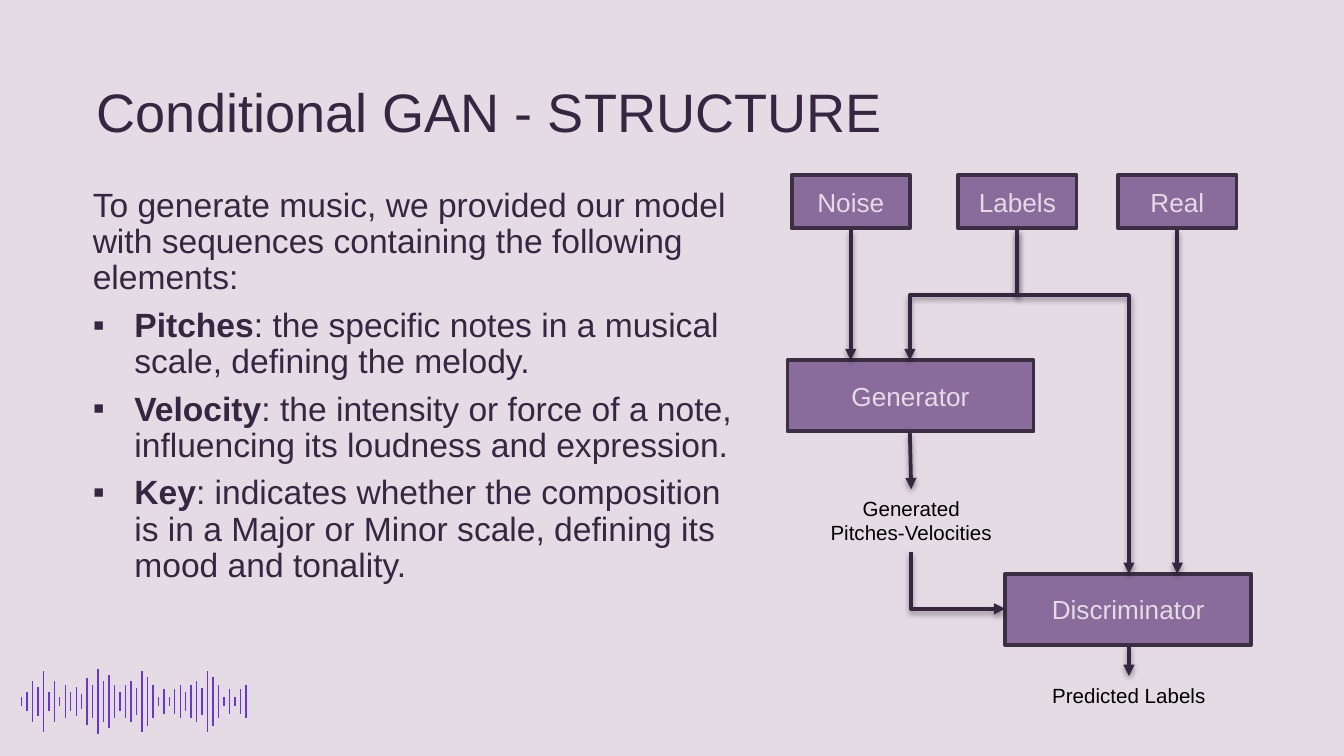
from dataclasses import dataclass

from lxml.etree import SubElement
from pptx import Presentation
from pptx.dml.color import RGBColor
from pptx.enum.shapes import MSO_CONNECTOR, MSO_SHAPE
from pptx.enum.text import MSO_ANCHOR, MSO_AUTO_SIZE, PP_ALIGN
from pptx.oxml.ns import qn
from pptx.util import Inches, Pt


@dataclass(frozen=True)
class Theme:
    font: str = "Arial"
    background: RGBColor = RGBColor.from_string("E4DBE5")
    ink: RGBColor = RGBColor.from_string("362641")
    box: RGBColor = RGBColor.from_string("896C9B")
    border: RGBColor = RGBColor.from_string("3C2F44")
    caption: RGBColor = RGBColor.from_string("000000")
    wave: RGBColor = RGBColor.from_string("6B35D2")
    title_size: Pt = Pt(29)
    body_size: Pt = Pt(18)
    box_size: Pt = Pt(14)
    caption_size: Pt = Pt(11)


theme = Theme()


def format_text(frame, size, color, align):
    for paragraph in frame.paragraphs:
        paragraph.alignment = align
        for run in paragraph.runs:
            run.font.name = theme.font
            run.font.size = size
            run.font.color.rgb = color


def add_arrow(start, end, bend=None, adjust=None):
    """Draw a shadowed arrow; a bent one leaves its start downwards."""
    (x1, y1), (x2, y2) = start, end
    if bend:
        # Preset elbows start sideways: swap the box sides and turn it.
        width, height = abs(y2 - y1), abs(x2 - x1)
        left, top = (x1 + x2 - width) / 2, (y1 + y2 - height) / 2
        corners = left, top, left + width, top + height
    else:
        corners = x1, y1, x2, y2
    arrow = slide.shapes.add_connector(
        MSO_CONNECTOR.ELBOW if bend else MSO_CONNECTOR.STRAIGHT,
        *[Inches(value) for value in corners])
    properties = arrow._element.spPr
    if bend:
        turn = properties.find(qn("a:xfrm"))
        turn.set("rot", str((90 if x2 < x1 else 270) * 60000))
        if x2 > x1:
            turn.set("flipH", "1")
        geometry = properties.find(qn("a:prstGeom"))
        geometry.set("prst", bend)
        if adjust is not None:
            SubElement(geometry.find(qn("a:avLst")), qn("a:gd"),
                       name="adj1", fmla=f"val {round(adjust * 100000)}")
    arrow.line.color.rgb = theme.ink
    arrow.line.width = Pt(2)
    SubElement(properties.find(qn("a:ln")), qn("a:tailEnd"), type="triangle")
    effects = SubElement(properties, qn("a:effectLst"))
    shadow = SubElement(effects, qn("a:outerShdw"), blurRad=str(Pt(3.1)),
                        dist=str(Pt(1.6)), dir="5400000", rotWithShape="0")
    shade = SubElement(shadow, qn("a:srgbClr"), val="000000")
    SubElement(shade, qn("a:alpha"), val="38000")


presentation = Presentation()
presentation.slide_width = Inches(10)
presentation.slide_height = Inches(10 * 9 / 16)
slide = presentation.slides.add_slide(presentation.slide_layouts[0])
slide.background.fill.solid()
slide.background.fill.fore_color.rgb = theme.background

# Sound wave
wave_heights = [
    0.07, 0.14, 0.3, 0.21, 0.45, 0.14, 0.3, 0.07, 0.25, 0.14, 0.21, 0.11, 0.35, 0.25,
    0.48, 0.3, 0.4, 0.25, 0.14, 0.25, 0.3, 0.2, 0.45, 0.37, 0.25, 0.07, 0.18, 0.07,
    0.18, 0.25, 0.14, 0.25, 0.3, 0.2, 0.45, 0.37, 0.25, 0.07, 0.18, 0.07, 0.18, 0.25]
wave_left, wave_right, wave_middle = 0.16, 1.83, 5.22
wave_step = (wave_right - wave_left) / (len(wave_heights) - 1)
wave = slide.shapes.add_group_shape()
for index, height in enumerate(wave_heights):
    x = Inches(wave_left + index * wave_step)
    bar = wave.shapes.add_connector(
        MSO_CONNECTOR.STRAIGHT, x, Inches(wave_middle - height / 2),
        x, Inches(wave_middle + height / 2))
    bar.line.color.rgb = theme.wave
    bar.line.width = Pt(0.75)
    SubElement(bar._element.spPr, qn("a:effectLst"))

# Title and explanation
title, explanation = slide.shapes.title, slide.placeholders[1]
title.text_frame.text = "Conditional GAN - STRUCTURE"
intro = "To generate music, we provided our model with sequences containing the following elements:"
elements = [
    ("Pitches", ": the specific notes in a musical scale, defining the melody."),
    ("Velocity", ": the intensity or force of a note, influencing its loudness and expression."),
    ("Key", ": indicates whether the composition is in a Major or Minor scale, "
            "defining its mood and tonality."),
]
explanation.text_frame.text = intro
for term, meaning in elements:
    paragraph = explanation.text_frame.add_paragraph()
    paragraph.text = term
    paragraph.runs[0].font.bold = True
    paragraph.add_run().text = meaning
    paragraph.runs[1].font.bold = False

for index, paragraph in enumerate(explanation.text_frame.paragraphs):
    paragraph.line_spacing = 0.9
    paragraph.space_before = Pt(0)
    paragraph.space_after = Pt(6)
    layout = paragraph._p.get_or_add_pPr()
    layout.set("marL", str(Inches(0.56 if index else 0.25)))
    layout.set("indent", str(Inches(-0.31 if index else 0)))
    if index:
        bullet_color = SubElement(layout, qn("a:buClr"))
        SubElement(bullet_color, qn("a:srgbClr"), val=str(theme.ink))
        SubElement(layout, qn("a:buFont"), typeface=theme.font)
        SubElement(layout, qn("a:buChar"), char="▪")

for holder, place, size, anchor in [
    (title, (0.62, 0.45, 9.26, 0.72), theme.title_size, MSO_ANCHOR.BOTTOM),
    (explanation, (0.34, 1.3, 5.35, 3.63), theme.body_size, MSO_ANCHOR.TOP),
]:
    holder.left, holder.top, holder.width, holder.height = [Inches(v) for v in place]
    frame = holder.text_frame
    frame.auto_size = MSO_AUTO_SIZE.NONE
    frame.word_wrap = True
    frame.vertical_anchor = anchor
    frame.margin_left = frame.margin_right = Inches(0.1)
    frame.margin_top = frame.margin_bottom = Inches(0.1)
    format_text(frame, size, theme.ink, PP_ALIGN.LEFT)

# Network blocks
input_size, network_size = (0.88, 0.4), (1.83, 0.53)
for label, left, top, (width, height) in [
    ("Noise", 5.89, 1.3, input_size),
    ("Labels", 7.13, 1.3, input_size),
    ("Real", 8.32, 1.3, input_size),
    ("Generator", 5.86, 2.68, network_size),
    ("Discriminator", 7.48, 4.27, network_size),
]:
    block = slide.shapes.add_shape(
        MSO_SHAPE.RECTANGLE, Inches(left), Inches(top), Inches(width), Inches(height))
    block.shadow.inherit = False
    block.fill.solid()
    block.fill.fore_color.rgb = theme.box
    block.line.color.rgb = theme.border
    block.line.width = Pt(2)
    block.text_frame.text = label
    block.text_frame.vertical_anchor = MSO_ANCHOR.MIDDLE
    format_text(block.text_frame, theme.box_size, theme.background, PP_ALIGN.CENTER)

# Outputs
for output, place, wraps in [
    ("Generated\nPitches-Velocities", (6.07, 3.64, 1.42, 0.47), False),
    ("Predicted Labels", (7.51, 5.03, 1.78, 0.29), True),
]:
    caption = slide.shapes.add_textbox(*[Inches(v) for v in place]).text_frame
    caption.text = output
    caption.word_wrap = wraps
    caption.auto_size = MSO_AUTO_SIZE.SHAPE_TO_FIT_TEXT
    format_text(caption, theme.caption_size, theme.caption, PP_ALIGN.CENTER)

# Data flow
inputs_bottom, generator_top, discriminator_top = 1.71, 2.68, 4.27
labels_out = (7.57, inputs_bottom)
add_arrow(labels_out, (6.77, generator_top), "bentConnector3", 0.5)
add_arrow(labels_out, (8.4, discriminator_top), "bentConnector3", 0.19)
add_arrow((6.33, inputs_bottom), (6.33, generator_top))
add_arrow((8.76, inputs_bottom), (8.76, discriminator_top))
add_arrow((6.77, 3.22), (6.78, 3.64))
add_arrow((6.78, 4.11), (7.48, 4.53), "bentConnector2")
add_arrow((8.4, 4.8), (8.4, 5.03))

presentation.save("out.pptx")
